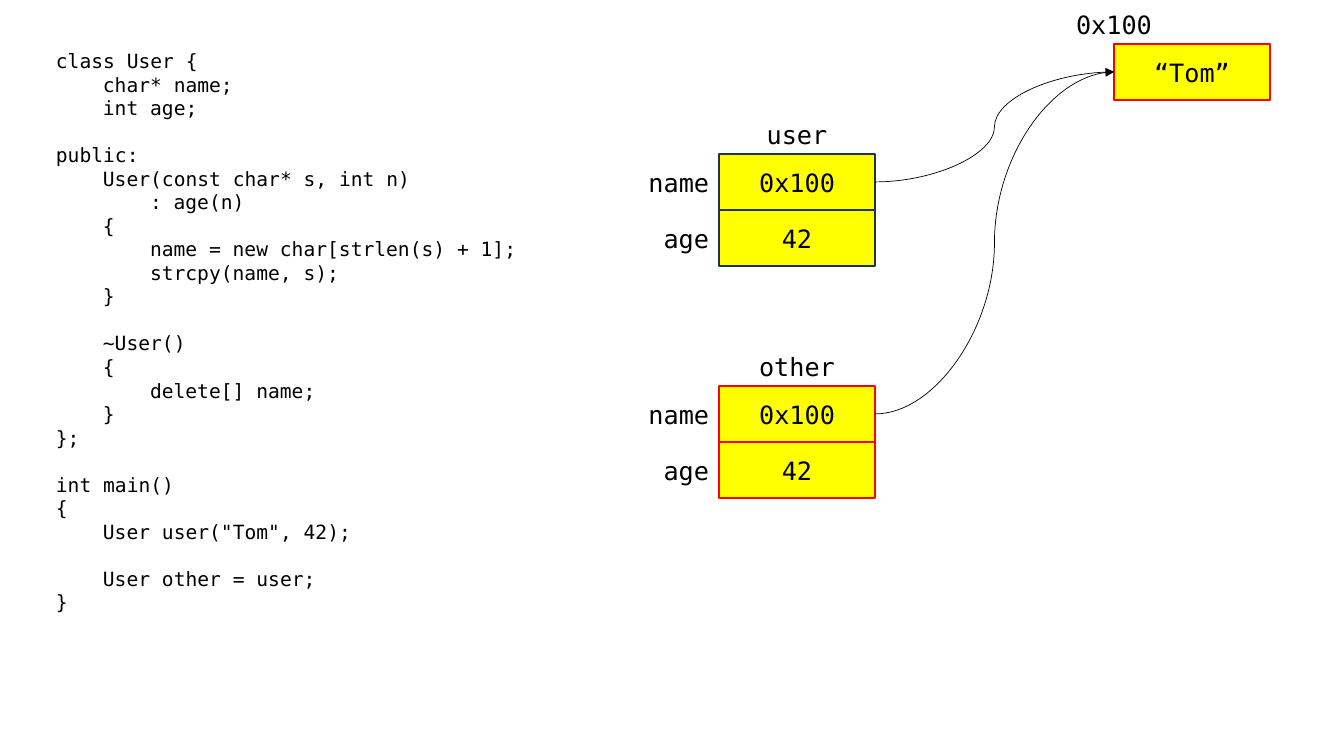
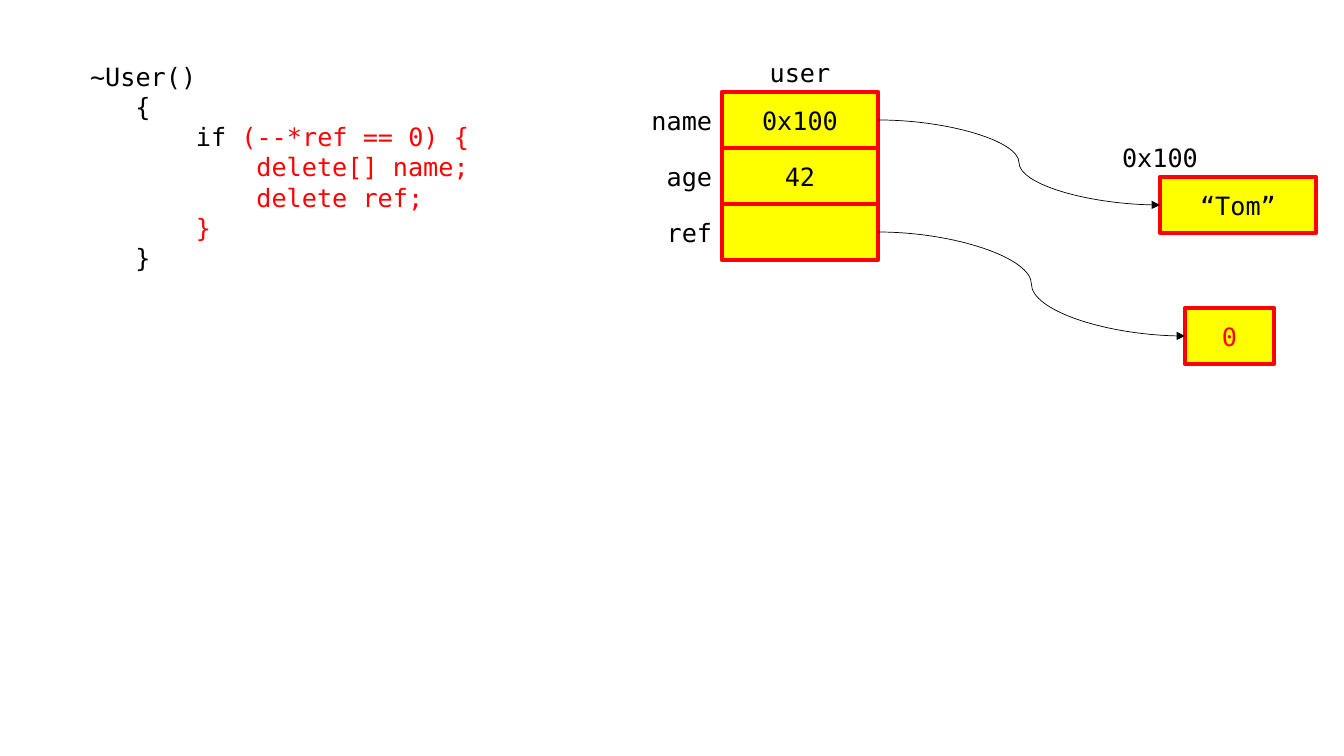
"""Draw how two objects share memory, and how a reference count frees it."""
from dataclasses import dataclass

from lxml.etree import SubElement
from pptx import Presentation
from pptx.dml.color import RGBColor
from pptx.enum.shapes import MSO_CONNECTOR, MSO_SHAPE
from pptx.enum.text import MSO_ANCHOR, MSO_AUTO_SIZE, PP_ALIGN
from pptx.oxml.ns import qn
from pptx.shapes.autoshape import Shape
from pptx.slide import Slide
from pptx.text.text import Font
from pptx.util import Emu, Pt


@dataclass(frozen=True)
class Theme:
    """Colours, type and line sizes of the deck."""
    font: str = "DejaVu Sans Mono"
    ink: RGBColor = RGBColor(0, 0, 0)
    red: RGBColor = RGBColor(255, 0, 0)
    navy: RGBColor = RGBColor(0x1E, 0x32, 0x56)
    fill: RGBColor = RGBColor(255, 255, 0)
    code: int = 14
    text: int = 18
    pitch: float = 1.2
    glyph: float = 0.6
    wire: float = 0.5


@dataclass(frozen=True)
class Edge:
    """Outline of a memory cell."""
    color: RGBColor
    width: float


@dataclass(frozen=True)
class Field:
    """A named member and its value."""
    name: str
    value: str
    wide: int = 78


@dataclass(frozen=True)
class Record:
    """An object drawn as a stack of fields."""
    name: str
    left: int
    top: int
    fields: tuple[Field, ...]
    edge: Edge


@dataclass(frozen=True)
class Listing:
    """A code block; in each line the part after a bar is red."""
    left: int
    top: int
    high: int
    size: int
    code: str


THEME = Theme()
CELL_W, CELL_H = 156, 56
LABEL_H, TITLE_W = 40, 128
CODE_W = 672
NAVY, RED, BOLD = Edge(THEME.navy, 1), Edge(THEME.red, 1), Edge(THEME.red, 3)
NAME, AGE, REF = Field("name", "0x100", 111), Field("age", "42"), Field("ref", "")

COPY = Listing(46, 44, 581, THEME.code, """\
class User {
    char* name;
    int age;

public:
    User(const char* s, int n)
        : age(n)
    {
        name = new char[strlen(s) + 1];
        strcpy(name, s);
    }

    ~User()
    {
        delete[] name;
    }
};

int main()
{
    User user("Tom", 42);

    User other = user;
}""")

COUNT = Listing(65, 56, 224, THEME.text, """\
 ~User()
    {
        if |(--*ref == 0) {
            |delete[] name;
            |delete ref;
        |}
    }""")


def px(size: int) -> Emu:
    """Turn pixels into EMU."""
    return Emu(round(size * 914400 / 100.8))


def style(font: Font, size: int, color: RGBColor) -> None:
    """Format one run's font."""
    font.name, font.size = THEME.font, Pt(size)
    font.color.rgb = color


def area(slide: Slide, left: int, top: int, wide: int, high: int) -> Shape:
    """Add a wrapping text box that grows with its text."""
    box = slide.shapes.add_textbox(px(left), px(top), px(wide), px(high))
    box.text_frame.word_wrap = True
    box.text_frame.auto_size = MSO_AUTO_SIZE.SHAPE_TO_FIT_TEXT
    return box


def write(box: Shape, text: str, align: PP_ALIGN, color: RGBColor) -> None:
    """Put one line of text in a shape."""
    box.text_frame.text = text
    line = box.text_frame.paragraphs[0]
    line.alignment = align
    for run in line.runs:
        style(run.font, THEME.text, color)


def title(slide: Slide, text: str, mid: int, base: int) -> None:
    """Centre a heading on mid, resting on base."""
    box = area(slide, mid - TITLE_W // 2, base - LABEL_H, TITLE_W, LABEL_H)
    write(box, text, PP_ALIGN.CENTER, THEME.ink)


def cell(slide: Slide, text: str, left: int, top: int, edge: Edge,
         wide: int = CELL_W, color: RGBColor = THEME.ink) -> Shape:
    """Draw one memory cell."""
    box = slide.shapes.add_shape(MSO_SHAPE.RECTANGLE, px(left), px(top),
                                 px(wide), px(CELL_H))
    box.shadow.inherit = False
    box.fill.solid()
    box.fill.fore_color.rgb = THEME.fill
    box.line.color.rgb = edge.color
    box.line.width = Pt(edge.width)
    box.text_frame.vertical_anchor = MSO_ANCHOR.MIDDLE
    if text:
        write(box, text, PP_ALIGN.CENTER, color)
    return box


def record(slide: Slide, item: Record) -> list[Shape]:
    """Draw an object with its labels and return its cells."""
    title(slide, item.name, item.left + CELL_W // 2, item.top)
    cells = []
    for row, field in enumerate(item.fields):
        top = item.top + row * CELL_H
        cells.append(cell(slide, field.value, item.left, top, item.edge))
        label = area(slide, item.left - field.wide,
                     top + (CELL_H - LABEL_H) // 2, field.wide, LABEL_H)
        write(label, field.name, PP_ALIGN.RIGHT, THEME.ink)
    return cells


def heap(slide: Slide, left: int, top: int, edge: Edge) -> Shape:
    """Draw the shared string with its address."""
    title(slide, "0x100", left, top)
    return cell(slide, "“Tom”", left, top, edge)


def arrow(slide: Slide, start: Shape, end: Shape) -> None:
    """Link the right side of start to the left side of end."""
    wire = slide.shapes.add_connector(
        MSO_CONNECTOR.CURVE, start.left + start.width,
        start.top + start.height // 2, end.left, end.top + end.height // 2)
    wire.begin_connect(start, 3)
    wire.end_connect(end, 1)
    wire.line.color.rgb = THEME.ink
    wire.line.width = Pt(THEME.wire)
    props = wire.element.spPr
    SubElement(props.find(qn("a:ln")), qn("a:tailEnd"), type="triangle")
    SubElement(props, qn("a:effectLst"))


def listing(slide: Slide, item: Listing) -> None:
    """Set code, with indents and paragraph spacing for its white space."""
    frame = area(slide, item.left, item.top, CODE_W, item.high).text_frame
    pitch = Pt(item.size * THEME.pitch)
    line, gap = frame.paragraphs[0], 0
    for row, text in enumerate(item.code.splitlines()):
        if not text:
            gap = pitch
            continue
        if row:
            line = frame.add_paragraph()
        code = text.lstrip()
        indent = Pt((len(text) - len(code)) * item.size * THEME.glyph)
        props = line._p.get_or_add_pPr()
        props.set("marL", str(int(indent)))
        props.set("indent", "0")
        line.line_spacing, line.space_before = pitch, Emu(gap)
        gap = 0
        for part, color in zip(code.split("|"), (THEME.ink, THEME.red)):
            if part:
                run = line.add_run()
                run.text = part
                style(run.font, item.size, color)


def shallow(slide: Slide) -> None:
    """Show two objects that point to one string."""
    listing(slide, COPY)
    user = record(slide, Record("user", 719, 154, (NAME, AGE), NAVY))
    other = record(slide, Record("other", 719, 386, (NAME, AGE), RED))
    text = heap(slide, 1114, 44, RED)
    for cells in (user, other):
        arrow(slide, cells[0], text)


def counted(slide: Slide) -> None:
    """Show an object whose reference count has reached zero."""
    listing(slide, COUNT)
    user = record(slide, Record("user", 722, 92, (NAME, AGE, REF), BOLD))
    text = heap(slide, 1160, 177, BOLD)
    count = cell(slide, "0", 1185, 308, BOLD, 89, THEME.red)
    arrow(slide, user[0], text)
    arrow(slide, user[2], count)


def main() -> None:
    """Build and save the deck."""
    deck = Presentation()
    deck.slide_width, deck.slide_height = px(1344), px(756)
    for draw in (shallow, counted):
        draw(deck.slides.add_slide(deck.slide_layouts[6]))
    deck.save("out.pptx")


main()
